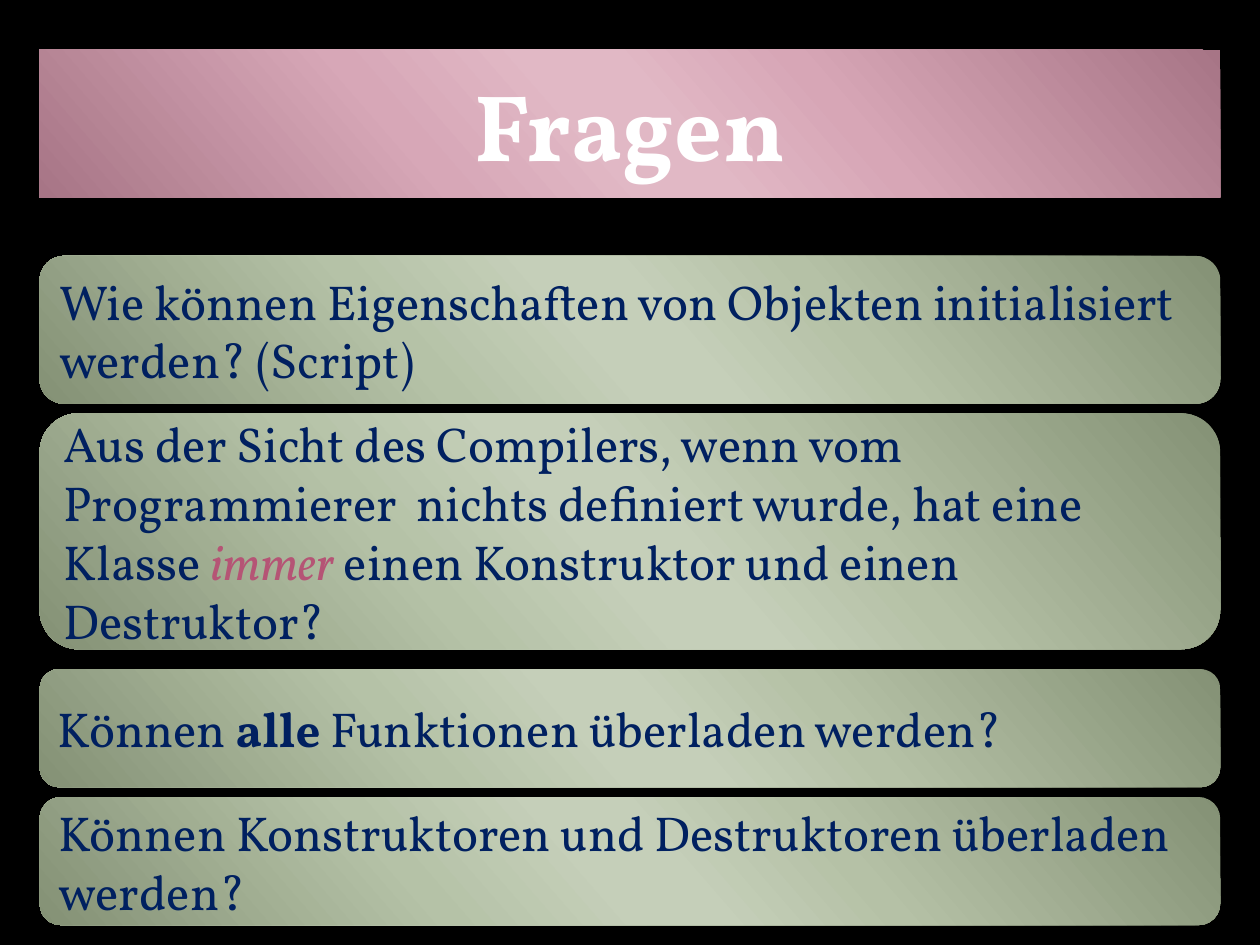
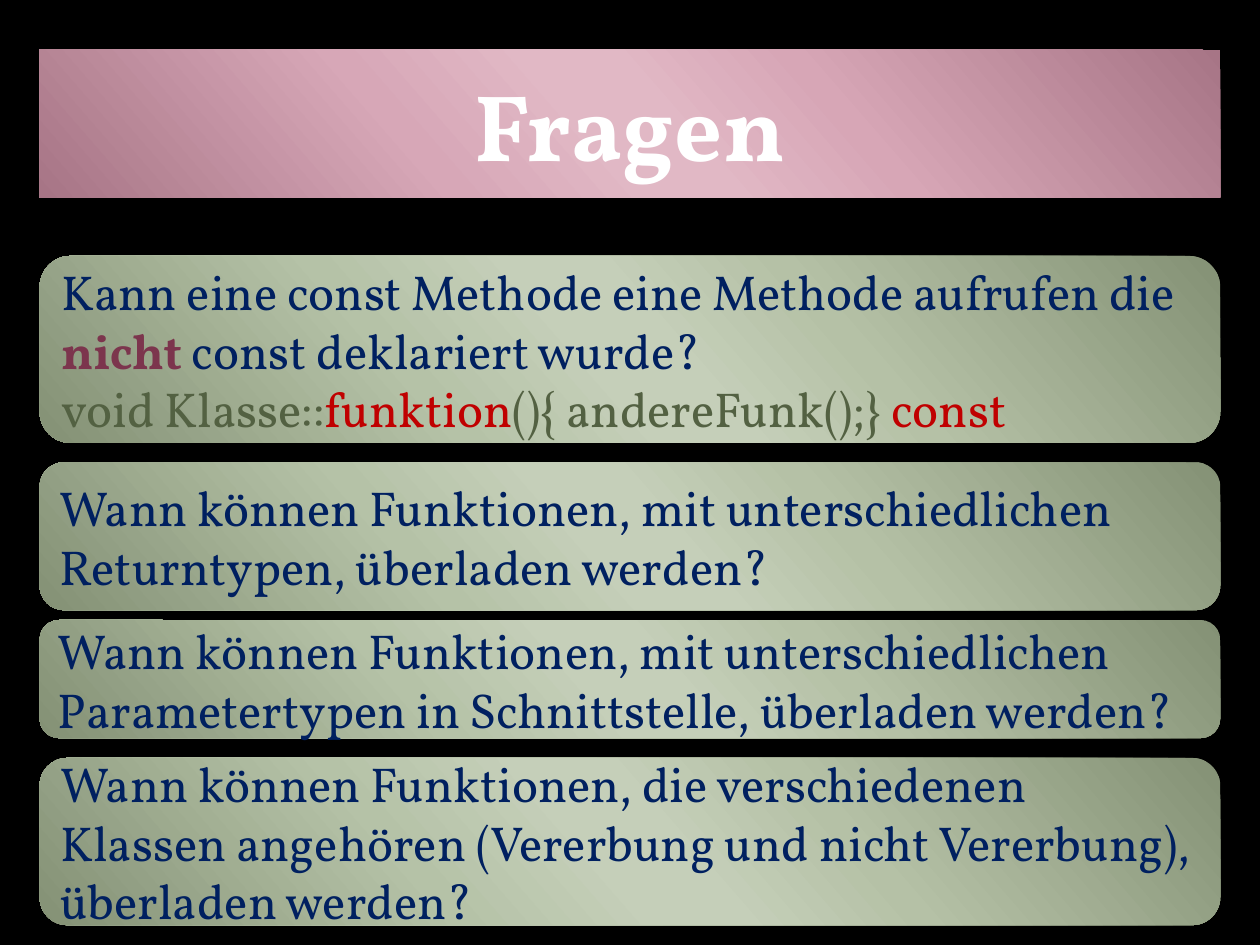
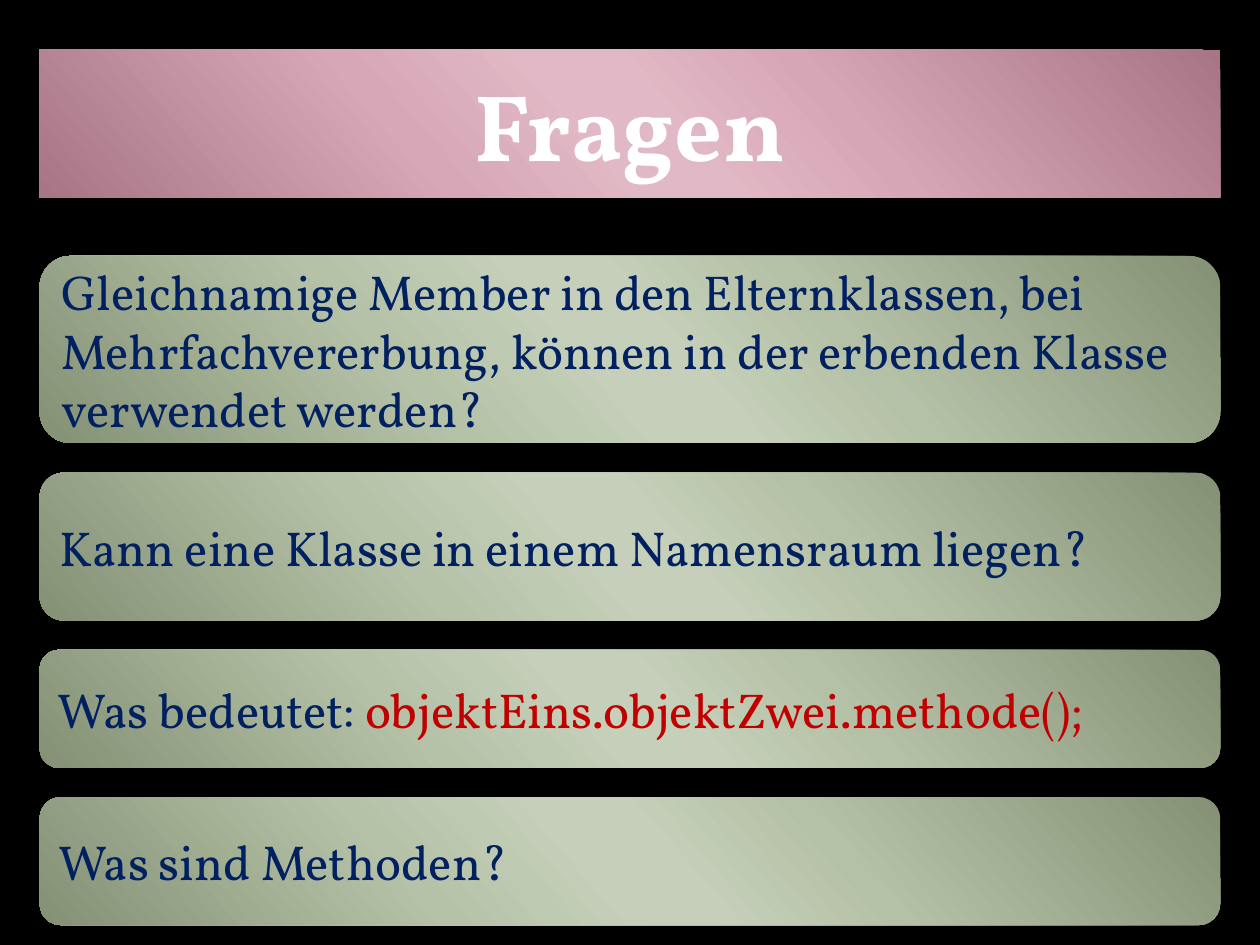
"""Build three question slides with gradient panels on black."""
from pptx import Presentation
from pptx.dml.color import RGBColor as RGB
from pptx.enum.shapes import MSO_SHAPE as SHAPE
from pptx.enum.text import MSO_ANCHOR as ANCHOR, MSO_AUTO_SIZE as AUTO, PP_ALIGN as ALIGN
from pptx.oxml import parse_xml
from pptx.oxml.ns import nsdecls
from pptx.util import Cm, Pt

FONT = "Vollkorn"
COLORS = {
    "black": "000000", "white": "FFFFFF", "navy": "002060", "red": "C00000",
    "pink": "B55475", "plum": "7C354D", "olive": "536142",
}
STOPS = (0, 33, 47, 53, 68, 100)
GRADIENTS = {
    "rose": ("A77586", "D7A6B6", "E1B8C5", "E1B8C5", "D7A7B7", "A77586"),
    "sage": ("849175", "B5C1A6", "C5CFB9", "C5CFB9", "B5C2A7", "849175"),
}
LEFT, WIDTH = Cm(0.8), Cm(23.8)

SLIDES = [
    [
        (5.16, 2.98, [[("Wie können Eigenschaften von Objekten initialisiert werden? (Script)", "navy", "")]]),
        (8.33, 4.76, [[
            ("Aus der Sicht des Compilers, wenn vom Programmierer  nichts definiert wurde, hat eine Klasse ", "navy", ""),
            ("immer", "pink", "i"),
            (" einen Konstruktor und einen Destruktor?", "navy", ""),
        ]]),
        (13.49, 2.38, [[
            ("Können ", "navy", ""),
            ("alle", "navy", "b"),
            (" Funktionen überladen werden?", "navy", ""),
        ]]),
        (16.07, 2.58, [[("Können Konstruktoren und Destruktoren überladen werden?", "navy", "")]]),
    ],
    [
        (5.16, 3.77, [
            [
                ("Kann eine const Methode eine Methode aufrufen die ", "navy", ""),
                ("nicht", "plum", "b"),
                (" const deklariert wurde?", "navy", ""),
            ],
            [
                ("void Klasse::", "olive", ""),
                ("funktion", "red", ""),
                ("(){ andereFunk();} ", "olive", ""),
                ("const", "red", ""),
            ],
        ]),
        (9.32, 2.98, [[("Wann können Funktionen, mit unterschiedlichen Returntypen, überladen werden?", "navy", "")]]),
        (12.5, 2.38, [[
            ("Wann können Funktionen, mit unterschiedlichen Parametertypen in Schnittstelle, überladen werden?", "navy", ""),
        ]]),
        (15.28, 3.37, [[
            ("Wann können Funktionen, die verschiedenen Klassen angehören (Vererbung und nicht Vererbung), "
             "überladen werden?", "navy", ""),
        ]]),
    ],
    [
        (5.16, 3.77, [[
            ("Gleichnamige Member in den Elternklassen, bei Mehrfachvererbung, können in der erbenden Klasse "
             "verwendet werden?", "navy", ""),
        ]]),
        (9.53, 2.98, [[("Kann eine Klasse in einem Namensraum liegen?", "navy", "")]]),
        (13.1, 2.38, [[
            ("Was bedeutet: ", "navy", ""),
            ("objektEins.objektZwei.methode();", "red", ""),
        ]]),
        (16.07, 2.58, [[("Was sind Methoden?", "navy", "")]]),
    ],
]


def style_panel(sp, gradient):
    """Give a panel its gradient, shadow and no outline."""
    ns = nsdecls("a")
    stops = "".join(
        f'<a:gs pos="{pos * 1000}"><a:srgbClr val="{color}"/></a:gs>'
        for pos, color in zip(STOPS, GRADIENTS[gradient])
    )
    props = sp._element.spPr
    props.append(parse_xml(
        f'<a:gradFill {ns} rotWithShape="1"><a:gsLst>{stops}</a:gsLst>'
        '<a:lin ang="8340000" scaled="0"/></a:gradFill>'))
    sp.line.fill.background()
    props.append(parse_xml(
        f'<a:effectLst {ns}><a:outerShdw blurRad="{Pt(15)}" dist="{Pt(18)}" dir="2700000" rotWithShape="0">'
        f'<a:srgbClr val="{COLORS["black"]}"><a:alpha val="26000"/></a:srgbClr>'
        '</a:outerShdw></a:effectLst>'))


def write_text(sp, paragraphs, size, align):
    """Write styled runs into a vertically centred shape."""
    tf = sp.text_frame
    tf.word_wrap = True
    tf.auto_size = AUTO.NONE
    tf.vertical_anchor = ANCHOR.MIDDLE
    for i, runs in enumerate(paragraphs):
        p = tf.add_paragraph() if i else tf.paragraphs[0]
        p.alignment = align
        for text, color, style in runs:
            r = p.add_run()
            r.text = text
            r.font.name = FONT
            r.font.size = Pt(size)
            r.font.bold = style == "b"
            r.font.italic = style == "i"
            r.font.color.rgb = RGB.from_string(COLORS[color])


prs = Presentation()
prs.slide_width, prs.slide_height = Cm(25.4), Cm(19.05)
bg = prs.slide_master.background.fill
bg.solid()
bg.fore_color.rgb = RGB.from_string(COLORS["black"])

for questions in SLIDES:
    s = prs.slides.add_slide(prs.slide_layouts[5])
    title = s.shapes.title
    title.left, title.top, title.width, title.height = LEFT, Cm(1), WIDTH, Cm(2.98)
    title._element.spPr.append(parse_xml(
        f'<a:prstGeom {nsdecls("a")} prst="roundRect"><a:avLst/></a:prstGeom>'))
    style_panel(title, "rose")
    write_text(title, [[("Fragen", "white", "b")]], 54, ALIGN.CENTER)

    for top, height, paragraphs in questions:
        sp = s.shapes.add_shape(SHAPE.ROUNDED_RECTANGLE, LEFT, Cm(top), WIDTH, Cm(height))
        style_panel(sp, "sage")
        write_text(sp, paragraphs, 28, ALIGN.LEFT)

prs.save("out.pptx")
